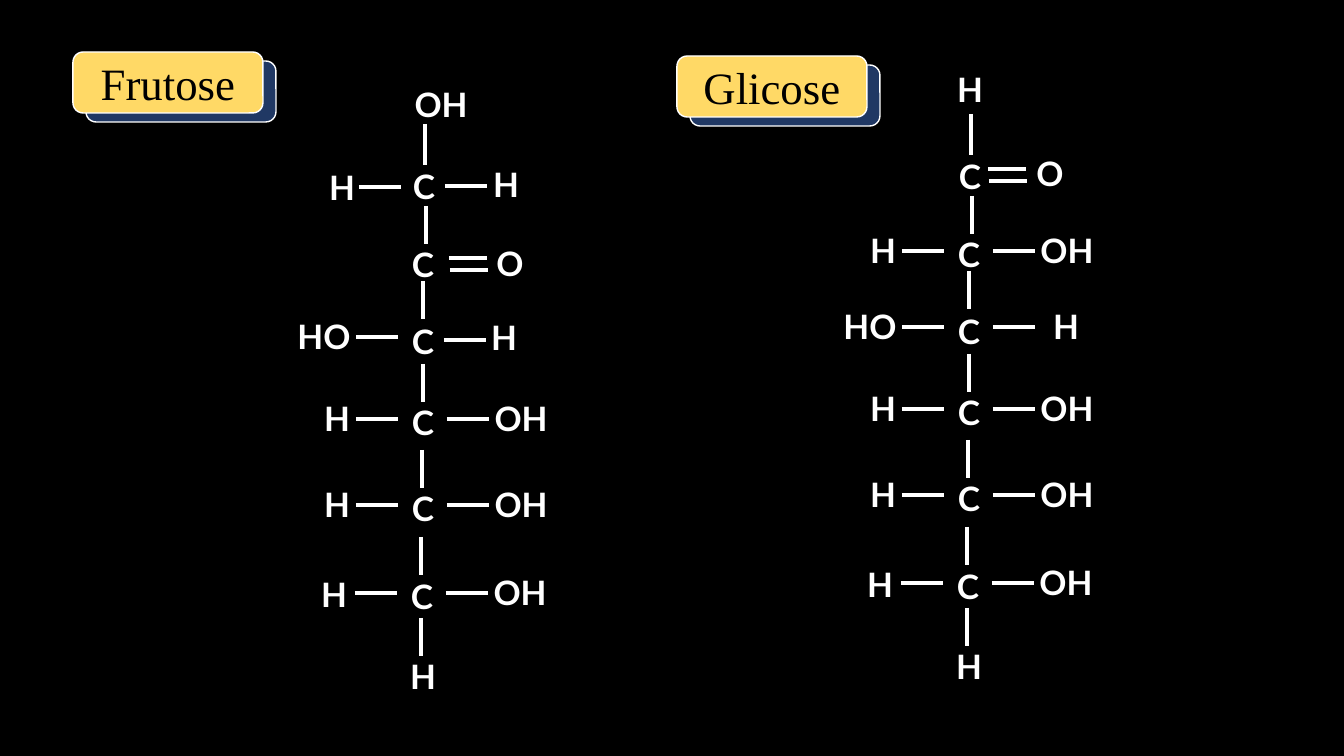
from lxml import etree
from pptx import Presentation
from pptx.dml.color import RGBColor
from pptx.enum.shapes import MSO_CONNECTOR, MSO_SHAPE
from pptx.enum.text import MSO_ANCHOR, MSO_AUTO_SIZE, PP_ALIGN
from pptx.oxml.ns import qn
from pptx.util import Emu, Pt

STRAIGHT = MSO_CONNECTOR.STRAIGHT
ROUNDED = MSO_SHAPE.ROUNDED_RECTANGLE
MIDDLE = MSO_ANCHOR.MIDDLE
GROW = MSO_AUTO_SIZE.SHAPE_TO_FIT_TEXT
CENTER = PP_ALIGN.CENTER

PAGE_WIDTH, PAGE_HEIGHT = 1344, 756
EMU_PER_PX = 914400 / 100.8

BLACK, WHITE, NAVY, YELLOW = "000000", "FFFFFF", "203864", "FFD966"
ATOM_FONT = {"name": "Lato", "size": Pt(24), "bold": True}
TAG_FONT = {"name": "Times New Roman", "size": Pt(32), "bold": False}

TAG_WIDTH, TAG_HEIGHT = 190, 61
TAG_SHADE_X, TAG_SHADE_Y = 13, 9

ATOM_HEIGHT = 50
ATOM_WIDTHS = {"C": 52, "O": 52, "H": 56, "OH": 74, "HO": 82}
SIDE_BOND, CHAIN_BOND, DOUBLE_BOND = 42, 38, 38
DOUBLE_GAP = 12

# Chain shared by both sugars, relative to the molecule box.
CARBONS = [(126, 87), (125, 165), (125, 242), (125, 323), (125, 409), (124, 497)]
TOP_BOND = (127, 50, 41)
CHAIN_BONDS = [(128, 132), (125, 207), (125, 290), (124, 376), (123, 463), (123, 544)]
BOTTOM_ATOM = ("H", 125, 577)

# Side group: label, atom centre x, atom top, bond start x, bond y (from the carbon).
LEFT_H = ("H", -86, -4, -67, 22)
LEFT_LOW_H = ("H", -88, -2, -67, 22)
LEFT_HO = ("HO", -99, -5, -67, 21)
RIGHT_OH = ("OH", 98, -4, 24, 22)
ALCOHOL_ROWS = [(LEFT_H, RIGHT_OH), (LEFT_H, RIGHT_OH), (LEFT_LOW_H, RIGHT_OH)]

SUGARS = [
    {
        "name": "Frutose", "tag": (73, 52), "box": (298, 74),
        "top_atom": ("OH", 143, 5),
        "rows": [
            (("H", -82, 1, -65, 26), ("H", 82, -2, 21, 25)),
            (("O", 87, -1, 26, 19),),
            (LEFT_HO, ("H", 81, -4, 21, 24)),
            *ALCOHOL_ROWS,
        ],
    },
    {
        "name": "Glicose", "tag": (677, 56), "box": (844, 64),
        "top_atom": ("H", 126, 0),
        "rows": [
            (("O", 80, -3, 18, 18),),
            (LEFT_H, RIGHT_OH),
            (LEFT_HO, ("H", 97, -5, 24, 21)),
            *ALCOHOL_ROWS,
        ],
    },
]


def px(length):
    return Emu(round(length * EMU_PER_PX))


def color(value):
    return RGBColor.from_string(value)


def write(shape, text, font, ink):
    para = shape.text_frame.paragraphs[0]
    para.alignment = CENTER
    span = para.add_run()
    span.text = text
    for key, value in font.items():
        setattr(span.font, key, value)
    span.font.color.rgb = color(ink)


def add_atom(page, label, center, top):
    width = ATOM_WIDTHS[label]
    box = page.shapes.add_textbox(
        px(center - width / 2), px(top), px(width), px(ATOM_HEIGHT))
    box.text_frame.word_wrap = True
    box.text_frame.auto_size = GROW
    write(box, label, ATOM_FONT, WHITE)


def add_bond(page, left, top, across=0, down=0):
    bond = page.shapes.add_connector(
        STRAIGHT, px(left), px(top), px(left + across), px(top + down))
    bond.line.color.rgb = color(WHITE)
    bond.line.width = Pt(2.25)
    etree.SubElement(bond.element.spPr, qn("a:effectLst"))


def add_card(page, left, top, fill):
    card = page.shapes.add_shape(
        ROUNDED, px(left), px(top), px(TAG_WIDTH), px(TAG_HEIGHT))
    card.shadow.inherit = False
    card.fill.solid()
    card.fill.fore_color.rgb = color(fill)
    card.line.color.rgb = color(WHITE)
    card.line.width = Pt(1)
    return card


def add_tag(page, name, left, top):
    add_card(page, left + TAG_SHADE_X, top + TAG_SHADE_Y, NAVY)
    card = add_card(page, left, top, YELLOW)
    card.text_frame.vertical_anchor = MIDDLE
    write(card, name, TAG_FONT, BLACK)


def add_side_group(page, carbon_x, carbon_y, group):
    """Place one atom and its bond beside a carbon; oxygen gets a double bond."""
    label, atom_x, atom_y, bond_x, bond_y = group
    left, top = carbon_x + bond_x, carbon_y + bond_y
    if label == "O":
        add_bond(page, left, top, across=DOUBLE_BOND)
        add_bond(page, left + 1, top + DOUBLE_GAP, across=DOUBLE_BOND)
    else:
        add_bond(page, left, top, across=SIDE_BOND)
    add_atom(page, label, carbon_x + atom_x, carbon_y + atom_y)


def add_molecule(page, left, top, top_atom, rows):
    bonds = [TOP_BOND] + [(x, y, CHAIN_BOND) for x, y in CHAIN_BONDS]
    for x, y, length in bonds:
        add_bond(page, left + x, top + y, down=length)
    carbons = [("C", x, y) for x, y in CARBONS]
    for label, x, y in [top_atom, *carbons, BOTTOM_ATOM]:
        add_atom(page, label, left + x, top + y)
    for (x, y), groups in zip(CARBONS, rows):
        for group in groups:
            add_side_group(page, left + x, top + y, group)


def main():
    deck = Presentation()
    deck.slide_width, deck.slide_height = px(PAGE_WIDTH), px(PAGE_HEIGHT)
    page = deck.slides.add_slide(deck.slide_layouts[6])
    page.background.fill.solid()
    page.background.fill.fore_color.rgb = color(BLACK)
    for sugar in SUGARS:
        add_molecule(page, *sugar["box"], sugar["top_atom"], sugar["rows"])
        add_tag(page, sugar["name"], *sugar["tag"])
    deck.save("out.pptx")


if __name__ == "__main__":
    main()
